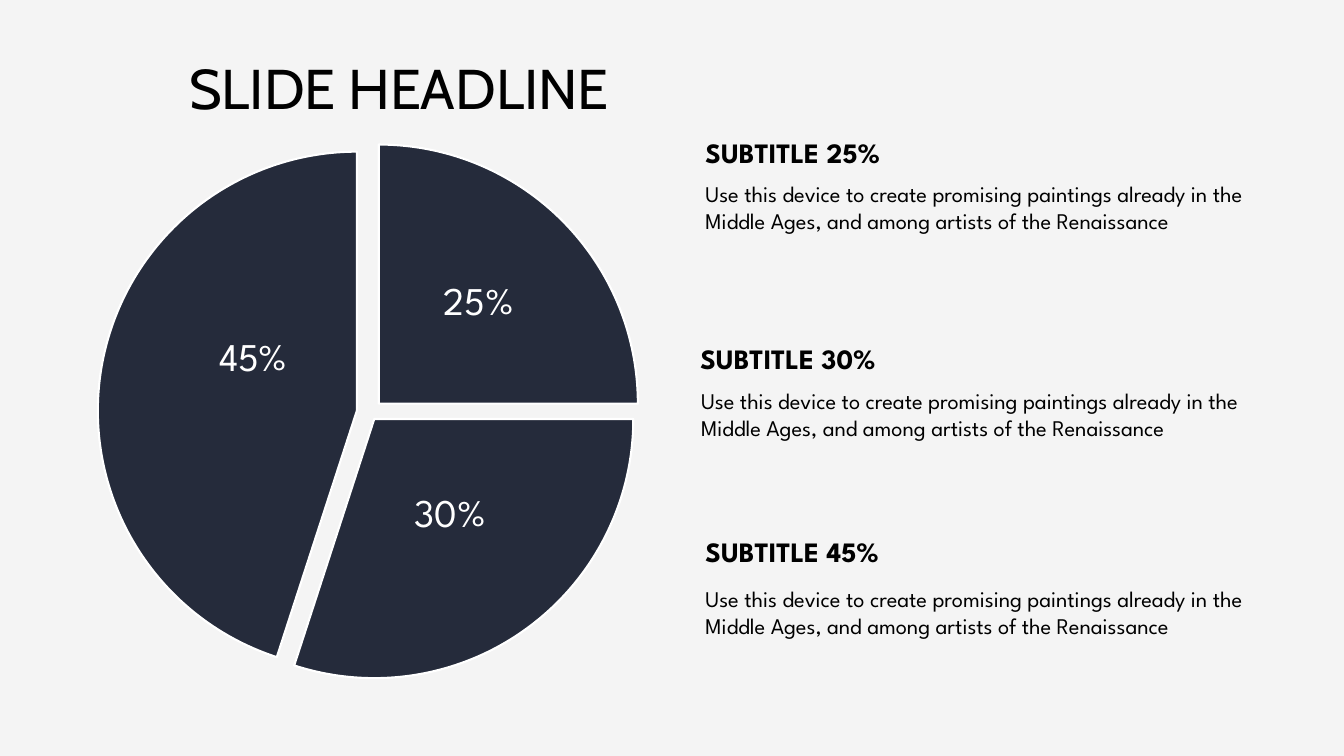
from lxml.etree import SubElement
from pptx import Presentation
from pptx.chart.data import CategoryChartData
from pptx.dml.color import RGBColor
from pptx.enum.chart import XL_CHART_TYPE, XL_LABEL_POSITION
from pptx.oxml import parse_xml
from pptx.oxml.ns import nsdecls, qn
from pptx.util import Cm, Pt

BACKGROUND = RGBColor(0xF4, 0xF4, 0xF4)
NAVY = RGBColor(0x25, 0x2B, 0x3B)
WHITE = RGBColor(0xFF, 0xFF, 0xFF)
BLACK = RGBColor(0x00, 0x00, 0x00)
BODY_TEXT = ("Use this device to create promising paintings already in the "
             "Middle Ages, and among artists of the Renaissance")


def add_text(text, left, top, width, height, size, font="League Spartan", bold=False):
    box = slide.shapes.add_textbox(Cm(left), Cm(top), Cm(width), Cm(height))
    box.text_frame.word_wrap = True
    span = box.text_frame.paragraphs[0].add_run()
    span.text = text
    span.font.name = font
    span.font.size = Pt(size)
    span.font.bold = bold
    span.font.color.rgb = BLACK


def manual_layout(**settings):
    """Return a chart layout element holding the given fractions and modes."""
    layout = parse_xml(f"<c:layout {nsdecls('c')}><c:manualLayout/></c:layout>")
    for name, value in settings.items():
        SubElement(layout[0], qn(f"c:{name}")).set("val", str(value))
    return layout


deck = Presentation()
deck.slide_width = Cm(33.87)
deck.slide_height = Cm(19.05)
slide = deck.slides.add_slide(deck.slide_layouts[6])
slide.background.fill.solid()
slide.background.fill.fore_color.rgb = BACKGROUND

# Pie chart
data = CategoryChartData(number_format='0"%"')
data.categories = ["1", "2", "3"]
data.add_series("Series 1", [25, 30, 45])
chart = slide.shapes.add_chart(
    XL_CHART_TYPE.PIE, Cm(-1.42), Cm(3.3), Cm(20.65), Cm(14.35), data).chart
chart.has_legend = False
chart.has_title = False
chart.font.name = "Calibri"
chart.font.size = Pt(10)
chart.font.color.rgb = BLACK

plot = chart.plots[0]
plot.vary_by_categories = False
plot_area = chart.element.find(".//" + qn("c:plotArea"))
for old_layout in plot_area.findall(qn("c:layout")):
    plot_area.remove(old_layout)
plot_area.insert(0, manual_layout(
    layoutTarget="inner", xMode="edge", yMode="edge", x=0.2, y=0.04, w=0.64, h=0.91))

series = plot.series[0]
labels = series.data_labels
labels.show_value = True
labels.number_format = '0"%"'
labels.number_format_is_linked = False
labels.position = XL_LABEL_POSITION.CENTER
labels.font.name = "League Spartan"
labels.font.size = Pt(28)
labels.font.color.rgb = WHITE

# Explosion in percent, then the label's shift as a fraction of the chart
slices = [(5, 0.01, -0.01), (3, 0, -0.01), (5, 0.03, -0.05)]
for index, (explosion, shift_x, shift_y) in enumerate(slices):
    point = series.points[index]
    point.format.fill.solid()
    point.format.fill.fore_color.rgb = NAVY
    point.format.line.color.rgb = WHITE
    point.format.line.width = Pt(1.5)
    data_point = series._element.findall(qn("c:dPt"))[index]
    exploded = parse_xml(f'<c:explosion {nsdecls("c")} val="{explosion}"/>')
    data_point.find(qn("c:spPr")).addprevious(exploded)
    label = point.data_label
    label.position = XL_LABEL_POSITION.CENTER
    label.font.name = "League Spartan"
    label.font.size = Pt(28)
    label.font.color.rgb = WHITE
    label_element = series._element.findall(".//" + qn("c:dLbl"))[index]
    label_element.find(qn("c:idx")).addnext(manual_layout(x=shift_x, y=shift_y))

# Headline and the three explanations
add_text("SLIDE HEADLINE", 4.52, 1.22, 11.68, 1.96, size=40, font="Cabin")
sections = [
    ("SUBTITLE 25%", 17.53, 3.3, 17.53, 4.42, 15.42),
    ("SUBTITLE 30%", 17.4, 8.48, 17.42, 9.63, 14.78),
    ("SUBTITLE 45%", 17.53, 13.34, 17.53, 14.63, 14.66),
]
for subtitle, left, top, body_left, body_top, body_width in sections:
    add_text(subtitle, left, top, 15.72, 1.12, size=20, bold=True)
    add_text(BODY_TEXT, body_left, body_top, body_width, 2.31, size=16)

deck.save("out.pptx")
